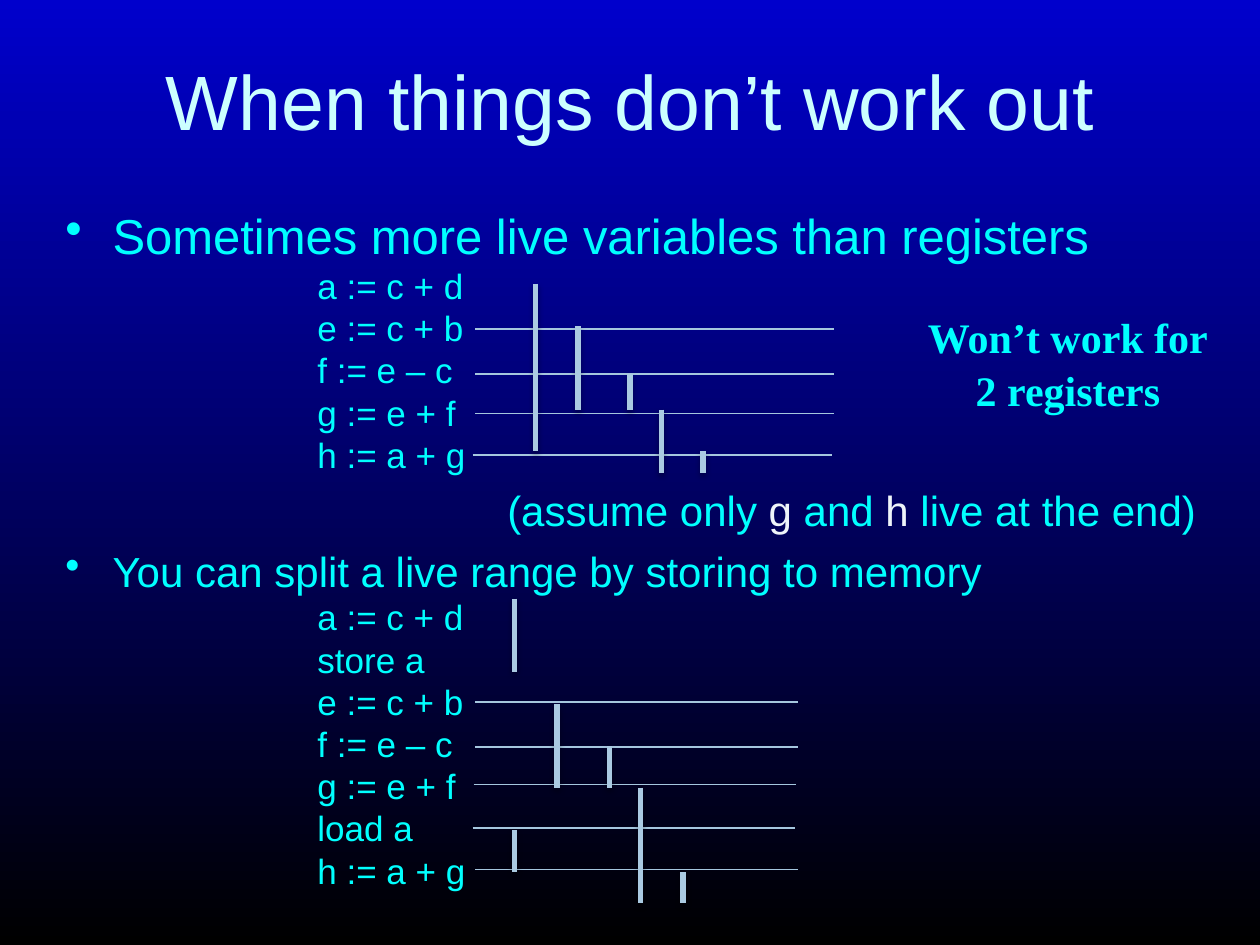
from dataclasses import dataclass
from typing import Any

from lxml import etree
from pptx import Presentation
from pptx.dml.color import RGBColor
from pptx.enum.shapes import MSO_CONNECTOR
from pptx.enum.text import MSO_ANCHOR, MSO_AUTO_SIZE, PP_ALIGN
from pptx.oxml.ns import qn
from pptx.util import Cm, Pt

STRAIGHT = MSO_CONNECTOR.STRAIGHT
MIDDLE, TOP = MSO_ANCHOR.MIDDLE, MSO_ANCHOR.TOP
CENTER, LEFT, RIGHT = PP_ALIGN.CENTER, PP_ALIGN.LEFT, PP_ALIGN.RIGHT
NO_FIT, GROW = MSO_AUTO_SIZE.NONE, MSO_AUTO_SIZE.SHAPE_TO_FIT_TEXT

CYAN, PALE_CYAN, NEAR_WHITE = "00FFFF", "CCFFFF", "EEF4F9"
RULE_COLOR, RANGE_COLOR = "A5C6DE", "AACAE2"
SKY_TOP, SKY_BOTTOM = "0000CC", "000000"

TITLE_FONT = {"name": "Arial", "size": Pt(44)}
LEAD_FONT = {"name": "Arial", "size": Pt(28)}
POINT_FONT = {"name": "Arial", "size": Pt(24)}
CODE_FONT = {"name": "Arial", "size": Pt(20)}
WARNING_FONT = {"name": "Times New Roman", "size": Pt(24), "bold": True}

TITLE_FORMAT = {"alignment": CENTER}
LEAD_FORMAT = {"alignment": LEFT, "space_before": Pt(3.5)}
POINT_FORMAT = {"alignment": LEFT, "space_before": Pt(5.6)}
ASSUMPTION_FORMAT = {"alignment": RIGHT, "space_before": Pt(5.6)}
CODE_FORMAT = {"alignment": LEFT, "level": 4, "line_spacing": 0.8, "space_before": Pt(4.9)}
WARNING_FORMAT = {"alignment": CENTER, "space_before": Pt(1.5)}


@dataclass(frozen=True)
class Line:
    pieces: tuple[tuple[str, str], ...]
    font: dict[str, Any]
    format: dict[str, Any]
    margin: float = 0
    indent: float = 0
    bullet: str = ""


@dataclass(frozen=True)
class LiveRange:
    x: float
    start: float
    end: float


@dataclass(frozen=True)
class RuleSet:
    length: float
    starts: tuple[tuple[float, float], ...]


def point(text: str, font: dict[str, Any], layout: dict[str, Any]) -> Line:
    return Line(((text, CYAN),), font, layout, 0.95, -0.95, "•")


def code(*statements: str) -> list[Line]:
    return [Line(((s, CYAN),), CODE_FONT, CODE_FORMAT, 5.72, -0.64) for s in statements]


def warning(text: str) -> Line:
    return Line(((text, CYAN),), WARNING_FONT, WARNING_FORMAT)


TITLE = [Line((("When things don’t work out", PALE_CYAN),), TITLE_FONT, TITLE_FORMAT)]
ASSUMPTION = Line(
    (
        ("(assume only ", CYAN),
        ("g", NEAR_WHITE),
        (" and ", CYAN),
        ("h", NEAR_WHITE),
        (" live at the end)", CYAN),
    ),
    POINT_FONT,
    ASSUMPTION_FORMAT,
)
BODY = [
    point("Sometimes more live variables than registers", LEAD_FONT, LEAD_FORMAT),
    *code("a := c + d", "e := c + b", "f := e – c", "g := e + f", "h := a + g"),
    ASSUMPTION,
    point("You can split a live range by storing to memory", POINT_FONT, POINT_FORMAT),
    *code("a := c + d", "store a", "e := c + b", "f := e – c", "g := e + f", "load a", "h := a + g"),
]
WARNING = [warning("Won’t work for"), warning("2 registers")]

RULE_SETS = (
    RuleSet(7.24, ((9.53, 9.17), (9.58, 8.33), (9.58, 7.54), (9.58, 6.63))),
    RuleSet(6.5, ((9.53, 16.69), (9.55, 15.82), (9.58, 15.06), (9.58, 14.15), (9.58, 17.53))),
)
LIVE_RANGES = (
    LiveRange(10.8, 5.72, 9.09),
    LiveRange(11.65, 6.58, 8.26),
    LiveRange(12.7, 7.54, 8.26),
    LiveRange(13.34, 8.26, 9.53),
    LiveRange(14.17, 9.09, 9.53),
    LiveRange(10.37, 12.07, 13.54),
    LiveRange(11.23, 14.2, 15.88),
    LiveRange(12.28, 15.04, 15.88),
    LiveRange(12.91, 15.88, 18.21),
    LiveRange(13.77, 17.58, 18.21),
    LiveRange(10.37, 16.74, 17.57),
)


def color(value: str) -> RGBColor:
    return RGBColor.from_string(value)


def apply(target: Any, values: dict[str, Any]) -> None:
    for name, value in values.items():
        setattr(target, name, value)


def add_text(shapes: Any, box: tuple[float, ...], lines: list[Line], frame_format: dict[str, Any]) -> None:
    frame = shapes.add_textbox(*map(Cm, box)).text_frame
    apply(frame, frame_format)
    for index, line in enumerate(lines):
        paragraph = frame.add_paragraph() if index else frame.paragraphs[0]
        apply(paragraph, line.format)
        properties = paragraph._p.get_or_add_pPr()
        properties.set("marL", str(Cm(line.margin)))
        properties.set("indent", str(Cm(line.indent)))
        if line.bullet:
            etree.SubElement(properties, qn("a:buChar"), char=line.bullet)
        for text, shade in line.pieces:
            run = paragraph.add_run()
            run.text = text
            apply(run.font, line.font)
            run.font.color.rgb = color(shade)


def add_line(shapes: Any, ends: tuple[float, ...], shade: str, weight: float, shadow: bool) -> None:
    connector = shapes.add_connector(STRAIGHT, *map(Cm, ends))
    connector.line.color.rgb = color(shade)
    connector.line.width = Pt(weight)
    effects = etree.SubElement(connector._element.spPr, qn("a:effectLst"))
    if shadow:
        cast = etree.SubElement(
            effects, qn("a:outerShdw"), blurRad="40000", dist="23000", dir="5400000", rotWithShape="0"
        )
        black = etree.SubElement(cast, qn("a:srgbClr"), val="000000")
        etree.SubElement(black, qn("a:alpha"), val="35000")


def main() -> None:
    deck = Presentation()
    apply(deck, {"slide_width": Cm(25.4), "slide_height": Cm(19.05)})
    slide = deck.slides.add_slide(deck.slide_layouts[6])
    sky = slide.background.fill
    sky.gradient()
    sky.gradient_angle = 270
    for stop, shade in zip(sky.gradient_stops, (SKY_TOP, SKY_BOTTOM)):
        stop.color.rgb = color(shade)

    fixed = {"word_wrap": True, "auto_size": NO_FIT}
    add_text(slide.shapes, (1.07, 4.01, 23.29, 13.54), BODY, {**fixed, "vertical_anchor": TOP})
    for rules in RULE_SETS:
        group = slide.shapes.add_group_shape()
        for x, y in rules.starts:
            add_line(group.shapes, (x, y, x + rules.length, y), RULE_COLOR, 0.75, False)
    add_text(slide.shapes, (1.07, 0.43, 23.29, 3.18), TITLE, {**fixed, "vertical_anchor": MIDDLE})
    for live in LIVE_RANGES:
        add_line(slide.shapes, (live.x, live.start, live.x, live.end), RANGE_COLOR, 3, True)
    add_text(slide.shapes, (18.42, 6.15, 6.22, 2.31), WARNING, {"word_wrap": False, "auto_size": GROW})
    deck.save("out.pptx")


if __name__ == "__main__":
    main()
